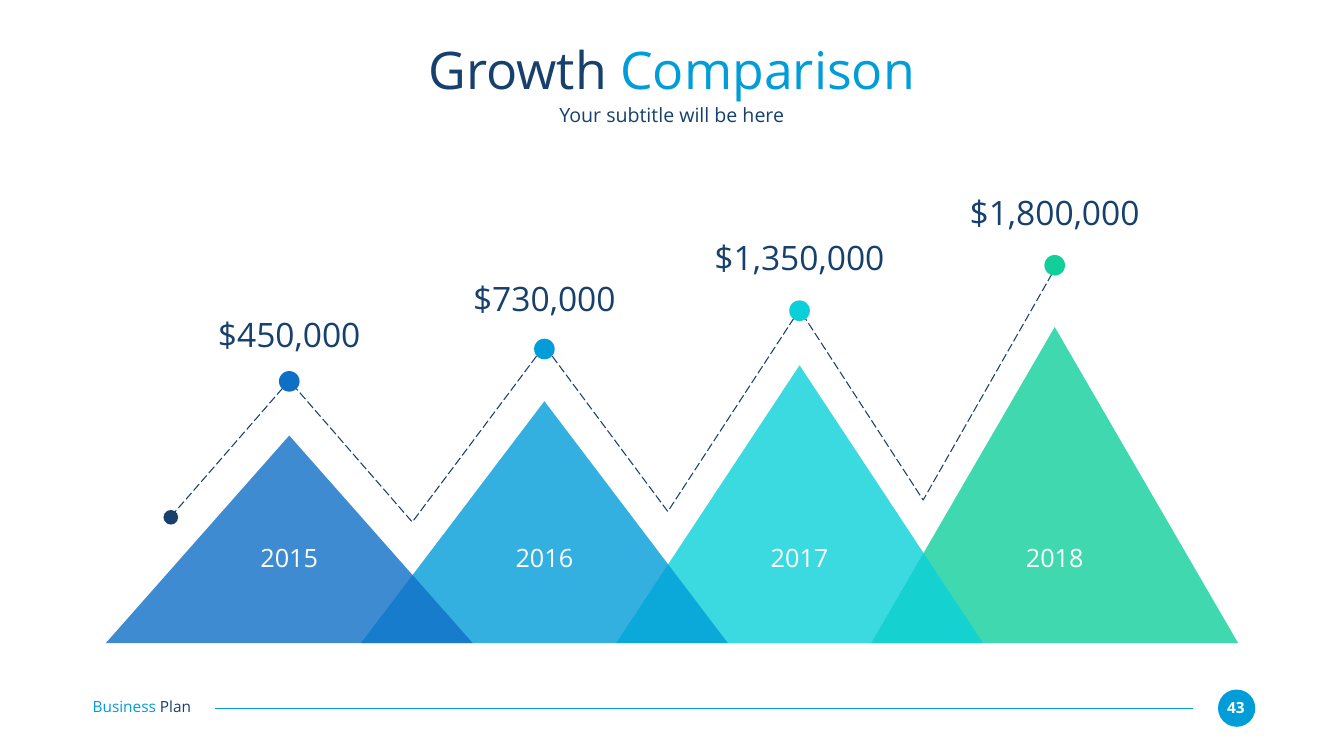
import pptx
import pptx.util
import pptx.dml.color
import pptx.enum.dml
import pptx.enum.shapes
import pptx.enum.text
import pptx.oxml
import pptx.oxml.ns

Cm = pptx.util.Cm
Pt = pptx.util.Pt
RGBColor = pptx.dml.color.RGBColor
MSO_SHAPE = pptx.enum.shapes.MSO_SHAPE
PP_ALIGN = pptx.enum.text.PP_ALIGN

NAVY = RGBColor(0x17, 0x40, 0x6D)
BLUE = RGBColor(0x0F, 0x6F, 0xC6)
SKY = RGBColor(0x00, 0x9D, 0xD9)
CYAN = RGBColor(0x0B, 0xD0, 0xD9)
GREEN = RGBColor(0x10, 0xCF, 0x9B)
WHITE = RGBColor(0xFF, 0xFF, 0xFF)

FONT = "Open Sans"
FIRST_X, STEP = 14.58, 12.86
BASE_Y, BASE_W = 32.41, 18.49
TRAIL_START = (8.61, 26.04)
VALLEYS = [(20.78, 26.31), (33.66, 25.78), (46.53, 25.2)]

# year, amount, colour, triangle height, trail peak, dot centre, label top
YEARS = [
    ("2015", "$450,000", BLUE, 10.46, 19.18, 19.22, 15.82),
    ("2016", "$730,000", SKY, 12.19, 17.42, 17.59, 14.0),
    ("2017", "$1,350,000", CYAN, 14.0, 15.6, 15.66, 11.94),
    ("2018", "$1,800,000", GREEN, 15.93, 13.56, 13.37, 9.68),
]


def add_text(s, left, top, width, height, runs, size, align=PP_ALIGN.CENTER, bold=False):
    """Add a one-line text box from (text, colour) runs."""
    tf = s.shapes.add_textbox(Cm(left), Cm(top), Cm(width), Cm(height)).text_frame
    tf.margin_left = tf.margin_right = tf.margin_top = tf.margin_bottom = 0
    tf.word_wrap = True
    tf.vertical_anchor = pptx.enum.text.MSO_ANCHOR.MIDDLE
    p = tf.paragraphs[0]
    p.alignment = align
    for text, color in runs:
        r = p.add_run()
        r.text = text
        r.font.name = FONT
        r.font.size = Pt(size)
        r.font.bold = bold
        r.font.color.rgb = color


def add_solid(s, kind, left, top, width, height, color, alpha=None):
    """Add a borderless filled shape, with optional opacity in percent."""
    sp = s.shapes.add_shape(kind, Cm(left), Cm(top), Cm(width), Cm(height))
    sp.shadow.inherit = False
    sp.fill.solid()
    sp.fill.fore_color.rgb = color
    sp.line.fill.background()
    if alpha is not None:
        clr = sp.fill._xPr.find(".//" + pptx.oxml.ns.qn("a:srgbClr"))
        node = pptx.oxml.parse_xml(
            f'<a:alpha {pptx.oxml.ns.nsdecls("a")} val="{alpha * 1000}"/>')
        clr.append(node)


def add_dot(s, x, y, diameter, color):
    """Add a filled circle centred on a point."""
    add_solid(s, MSO_SHAPE.OVAL, x - diameter / 2, y - diameter / 2, diameter, diameter, color)


def add_trail(s, points):
    """Add a dashed open line through the points."""
    points = [(Cm(x), Cm(y)) for x, y in points]
    builder = s.shapes.build_freeform(*points[0])
    builder.add_line_segments(points[1:], close=False)
    sp = builder.convert_to_shape()
    sp.shadow.inherit = False
    sp.fill.background()
    sp.line.color.rgb = NAVY
    sp.line.width = Pt(1.5)
    sp.line.dash_style = pptx.enum.dml.MSO_LINE.LONG_DASH


def add_footer(s):
    """Add the footer name, rule and page number."""
    add_dot(s, 62.33, 35.69, 1.88, SKY)
    add_text(s, 61.54, 35.18, 1.5, 0.94, [("43", WHITE)], 22, bold=True)
    line = s.shapes.add_connector(
        pptx.enum.shapes.MSO_CONNECTOR.STRAIGHT, Cm(60.12), Cm(35.69), Cm(10.85), Cm(35.69))
    line.line.color.rgb = SKY
    line.line.width = Pt(1.5)
    line._element.spPr.append(
        pptx.oxml.parse_xml(f'<a:effectLst {pptx.oxml.ns.nsdecls("a")}/>'))
    add_text(s, 4.67, 35.15, 6.58, 0.94, [("Business ", SKY), ("Plan", NAVY)], 22, PP_ALIGN.LEFT)


def add_peaks(s):
    """Add the yearly triangles, the trail above them and their labels."""
    centres = [FIRST_X + i * STEP for i in range(len(YEARS))]
    peaks = list(zip(centres, YEARS))
    for x, (_, _, color, height, _, _, _) in reversed(peaks):
        add_solid(s, MSO_SHAPE.ISOSCELES_TRIANGLE, x - BASE_W / 2, BASE_Y - height,
                  BASE_W, height, color, alpha=80)
    tops = [(x, row[4]) for x, row in peaks]
    trail = [TRAIL_START, tops[0]]
    for valley, top in zip(VALLEYS, tops[1:]):
        trail += [valley, top]
    add_trail(s, trail)
    add_dot(s, 8.61, 26.07, 0.74, NAVY)
    for x, (year, amount, color, _, _, dot_y, label_y) in peaks:
        add_text(s, x - 3.06, 27.33, 6.12, 1.55, [(year, WHITE)], 36)
        add_text(s, x - 4.68, label_y, 9.36, 2.06, [(amount, NAVY)], 48)
        add_dot(s, x, dot_y, 1.04, color)


def main():
    """Build the growth comparison slide."""
    prs = pptx.Presentation()
    prs.slide_width, prs.slide_height = Cm(67.74), Cm(38.1)
    s = prs.slides.add_slide(prs.slide_layouts[6])
    add_footer(s)
    add_text(s, 4.65, 1.85, 58.42, 3.23, [("Growth ", NAVY), ("Comparison", SKY)], 74)
    add_text(s, 4.65, 5.16, 58.42, 1.24, [("Your subtitle will be here", NAVY)], 28)
    add_peaks(s)
    prs.save("out.pptx")


if __name__ == "__main__":
    main()
